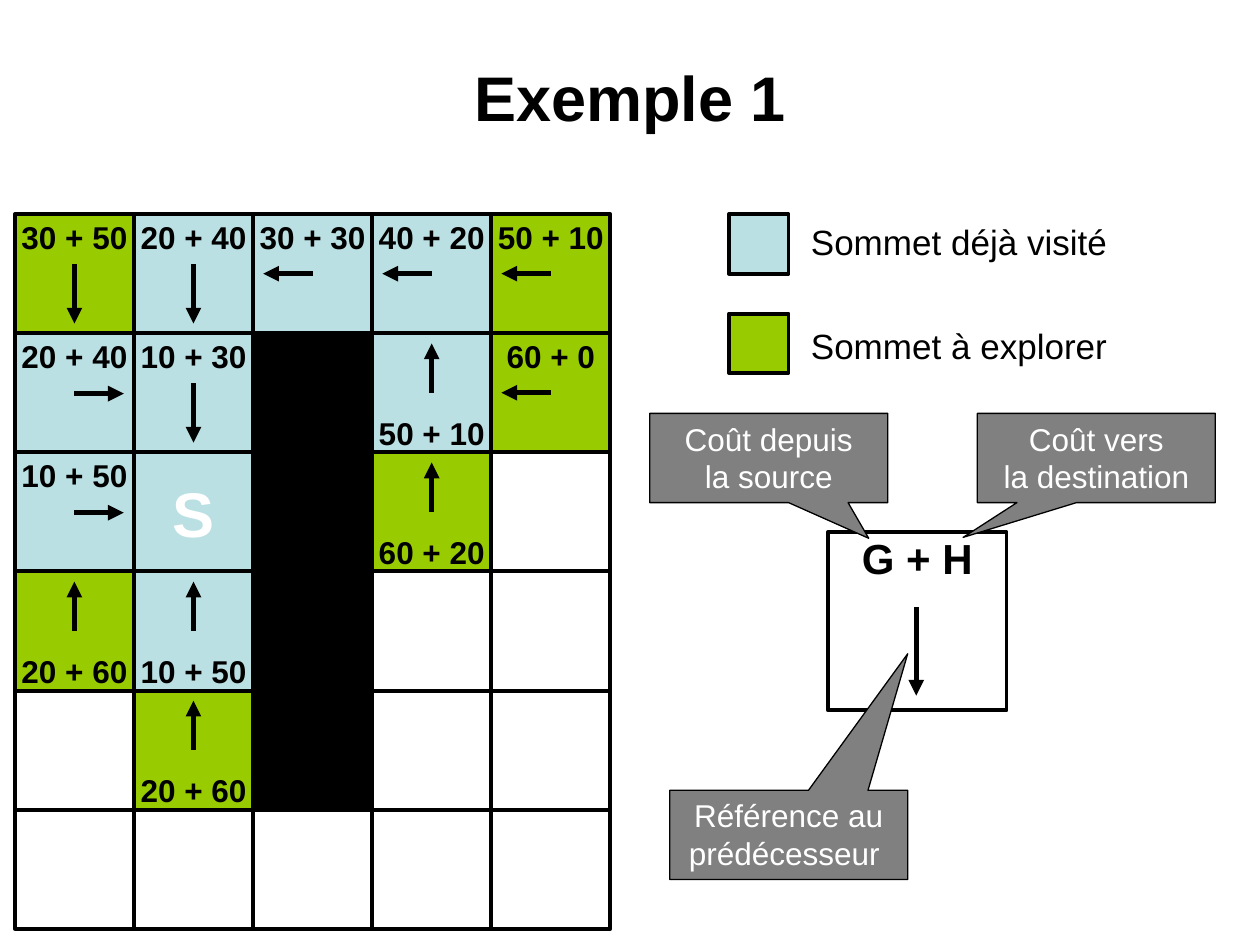
from lxml import etree
from pptx import Presentation
from pptx import util as u
from pptx.dml.color import RGBColor
from pptx.enum import shapes, text
from pptx.oxml.ns import qn

Pt = u.Pt
COLOURS = {
    "black": "000000",
    "white": "FFFFFF",
    "visited": "BBE0E3",
    "open": "99CC00",
    "callout": "808080",
}
FONT = "Arial"
ROWS, COLS = 6, 5
GRID_LEFT, GRID_TOP, CELL = 8.5, 122.4, 68.05

# V visited, O to explore, # wall, . untouched
MAP = ["OVVVO",
       "VV#VO",
       "VV#O.",
       "OV#..",
       ".O#..",
       "....."]
CELL_FILLS = {"V": "visited", "O": "open", "#": "black", ".": "white"}

# (row, column): (cost, direction of the predecessor)
COSTS = {
    (0, 0): ("30 + 50", "down"), (0, 1): ("20 + 40", "down"),
    (0, 2): ("30 + 30", "left"), (0, 3): ("40 + 20", "left"),
    (0, 4): ("50 + 10", "left"),
    (1, 0): ("20 + 40", "right"), (1, 1): ("10 + 30", "down"),
    (1, 3): ("50 + 10", "up"), (1, 4): ("60 + 0", "left"),
    (2, 0): ("10 + 50", "right"), (2, 3): ("60 + 20", "up"),
    (3, 0): ("20 + 60", "up"), (3, 1): ("10 + 50", "up"),
    (4, 1): ("20 + 60", "up"),
}
# Start and end of each arrow, from the middle of the cell's top side
ARROWS = {
    "down": (0, 28.5, 0, 62.5),
    "up": (0, 34, 0, 5.8),
    "left": (0, 34, -28.2, 34),
    "right": (0, 34.5, 28.2, 34.5),
}
SOURCE_CELL = (2, 1)
CALLOUTS = [
    ("Coût depuis\nla source", 371.3, 236.2, (0.42, 0.9)),
    ("Coût vers\nla destination", 558.5, 236.2, (-0.56, 0.89)),
    ("Référence au\nprédécesseur ", 382.7, 451.6, (0.5, -2.03)),
]
LEGEND = [("visited", "Sommet déjà visité", 122.4, 122.2),
          ("open", "Sommet à explorer", 179.2, 181.8)]


def rgb(name):
    return RGBColor.from_string(COLOURS[name])


def write(frame, words, size=18, colour="black", bold=False, centred=True,
          anchor=text.MSO_ANCHOR.TOP, wrap=True):
    frame.word_wrap = wrap
    frame.auto_size = text.MSO_AUTO_SIZE.NONE
    frame.vertical_anchor = anchor
    paragraph = frame.paragraphs[0]
    paragraph.text = words
    paragraph.alignment = text.PP_ALIGN.CENTER if centred else text.PP_ALIGN.LEFT
    for run in paragraph.runs:
        run.font.name = FONT
        run.font.size = Pt(size)
        run.font.bold = bold
        run.font.color.rgb = rgb(colour)


def add_label(slide, words, left, top, width, height, **style):
    box = slide.shapes.add_textbox(Pt(left), Pt(top), Pt(width), Pt(height))
    write(box.text_frame, words, **style)


def add_block(slide, left, top, width, height, fill, outline=2.25,
              preset=shapes.MSO_SHAPE.RECTANGLE):
    block = slide.shapes.add_shape(preset, Pt(left), Pt(top), Pt(width), Pt(height))
    block.shadow.inherit = False
    block.fill.solid()
    block.fill.fore_color.rgb = rgb(fill)
    block.line.color.rgb = rgb("black")
    block.line.width = Pt(outline)
    return block


def add_arrow(slide, x1, y1, x2, y2):
    arrow = slide.shapes.add_connector(
        shapes.MSO_CONNECTOR.STRAIGHT, Pt(x1), Pt(y1), Pt(x2), Pt(y2))
    arrow.line.color.rgb = rgb("black")
    arrow.line.width = Pt(3)
    etree.SubElement(arrow.get_or_add_ln(), qn("a:tailEnd"), type="triangle")
    etree.SubElement(arrow._element.spPr, qn("a:effectLst"))


def add_title(slide, words):
    title = slide.shapes.title
    title.left, title.top, title.width, title.height = Pt(36), Pt(21.6), Pt(648), Pt(67)
    write(title.text_frame, words, size=36, bold=True, anchor=text.MSO_ANCHOR.MIDDLE)


def add_grid(slide):
    for row in range(ROWS):
        for col in range(COLS):
            cell = add_block(slide, GRID_LEFT + col * CELL, GRID_TOP + row * CELL,
                             CELL, CELL, CELL_FILLS[MAP[row][col]])
            if (row, col) == SOURCE_CELL:
                write(cell.text_frame, "S", size=36, colour="white", bold=True,
                      anchor=text.MSO_ANCHOR.MIDDLE, wrap=False)


def add_costs(slide):
    """Put the cost at the cell's top, or at its bottom under an upward arrow."""
    for (row, col), (cost, direction) in COSTS.items():
        middle = GRID_LEFT + (col + 0.5) * CELL
        top = GRID_TOP + row * CELL
        x1, y1, x2, y2 = ARROWS[direction]
        add_arrow(slide, middle + x1, top + y1, middle + x2, top + y2)
        offset = 42.5 if direction == "up" else -1.5
        add_label(slide, cost, middle - 38, top + offset, 76, 29, bold=True)


def add_legend(slide):
    for fill, meaning, swatch_top, label_top in LEGEND:
        add_block(slide, 416.6, swatch_top, 34, 34, fill)
        add_label(slide, meaning, 456.3, label_top, 193, 31.5, size=20, centred=False)


def add_key(slide):
    """Explain the parts of a cell with callouts."""
    add_block(slide, 473.2, 304, 102, 102, "white")
    add_arrow(slide, 523.6, 347, 523.6, 397.5)
    add_label(slide, "G + H", 467.3, 301, 113.8, 36, size=24, bold=True)
    for words, left, top, pointer in CALLOUTS:
        callout = add_block(slide, left, top, 136, 51, "callout", 0.75,
                            shapes.MSO_SHAPE.RECTANGULAR_CALLOUT)
        callout.adjustments[0], callout.adjustments[1] = pointer
        write(callout.text_frame, words, colour="white")


def main():
    deck = Presentation()
    deck.slide_width, deck.slide_height = Pt(720), Pt(540)
    slide = deck.slides.add_slide(deck.slide_layouts[5])
    add_title(slide, "Exemple 1")
    add_grid(slide)
    add_costs(slide)
    add_legend(slide)
    add_key(slide)
    deck.save("out.pptx")


if __name__ == "__main__":
    main()
